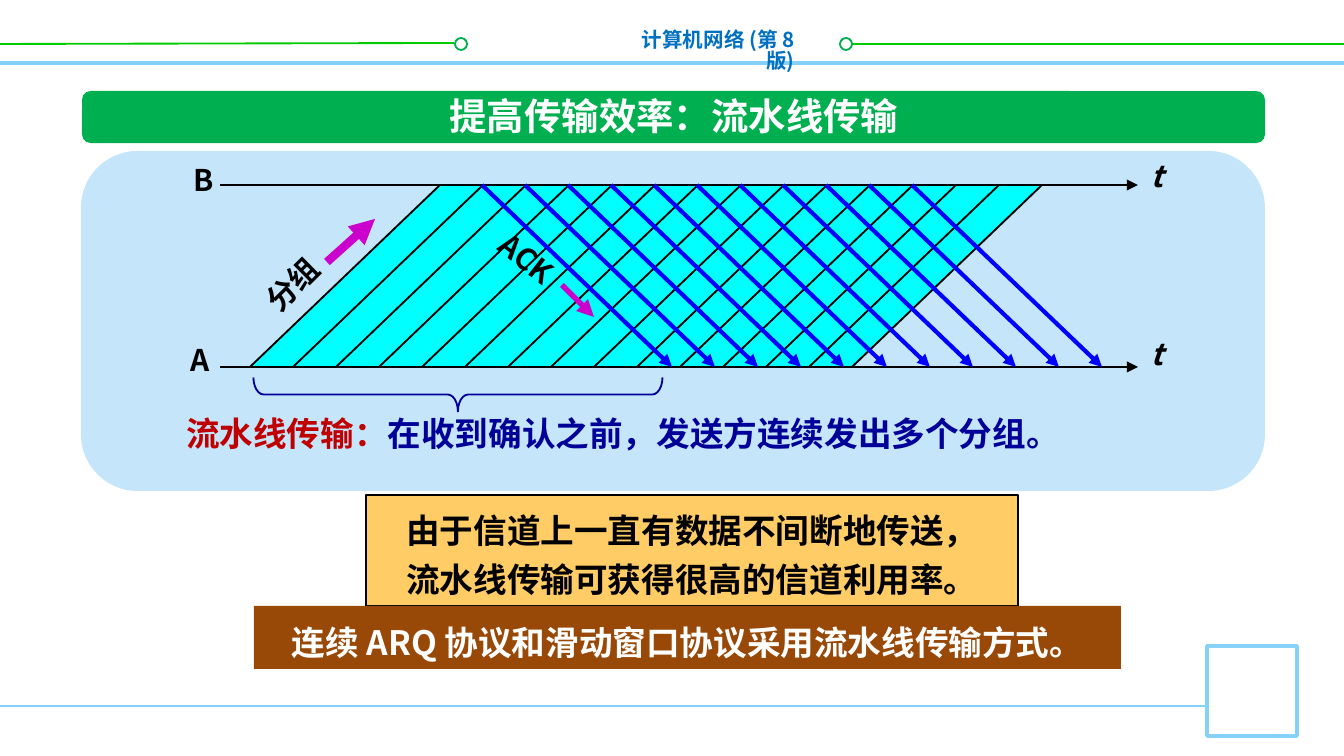
from pptx import Presentation
from pptx.dml.color import RGBColor as RGB
from pptx.enum.shapes import MSO_CONNECTOR as Con, MSO_SHAPE as Geo
from pptx.enum.text import MSO_ANCHOR as Anchor, MSO_AUTO_SIZE as Auto, PP_ALIGN as Align
from pptx.oxml.ns import qn
from pptx.util import Emu, Pt
from lxml.etree import SubElement as Sub

FONT = "Noto Sans CJK SC"
WHITE, BLACK = RGB(255, 255, 255), RGB(0, 0, 0)
SKY, LIME, GREEN = RGB(0x85, 0xD1, 0xF7), RGB(0, 0xCC, 0), RGB(0, 0xB0, 0x50)
PALE, GOLD, BROWN = RGB(0xC5, 0xE5, 0xFB), RGB(0xFF, 0xCC, 0x66), RGB(0x98, 0x48, 0x07)
CYAN, BLUE, NAVY = RGB(0, 255, 255), RGB(0, 0, 255), RGB(0, 0, 0x99)
PINK, RED, AZURE = RGB(0xCC, 0, 0xCC), RGB(0xC0, 0, 0), RGB(0, 0x70, 0xC0)

TITLE = "提高传输效率：流水线传输"
HEADER = "计算机网络 (第 8 版)"
NOTE = [[("流水线传输：", RED), ("在收到确认之前，发送方连续发出多个分组。", NAVY)]]
GAIN = [[("由于信道上一直有数据不间断地传送，", BLACK)],
        [("流水线传输可获得很高的信道利用率。", BLACK)]]
USE = [[("连续 ARQ 协议和滑动窗口协议采用流水线传输方式。", WHITE)]]
LABELS = [
    ("B", (180, 155, 48, 50), 0, False),
    ("A", (177, 335, 50, 50), 0, False),
    ("t", (1137, 151, 39, 50), 0, True),
    ("t", (1137, 329, 39, 50), 0, True),
    ("分组", (249, 259, 87, 50), 315.3, False),
    ("ACK", (484, 235, 90, 50), 37.8, False),
]
RULES = [
    ((0, 706, 1207, 706), SKY, 1.5),
    ((0, 63, 1344, 63), SKY, 2),
    ((0, 44, 454, 43), LIME, 1),
    ((840, 44, 1344, 44), LIME, 1),
]
TOP, BASE, SLANT, STEP = 185, 367, 190, 43
SEND, SENDS, ACK, ACKS = 250, 15, 482, 11


def px(n):
    return Emu(round(n * 914400 / 134.4))


deck = Presentation()
deck.slide_width, deck.slide_height = px(1344), px(756)
slide = deck.slides.add_slide(deck.slide_layouts[5])
shapes = slide.shapes


def rule(ends, color, width, arrow=False):
    item = shapes.add_connector(Con.STRAIGHT, *map(px, ends))
    item.line.color.rgb = color
    item.line.width = Pt(width)
    if arrow:
        Sub(item.line._get_or_add_ln(), qn("a:tailEnd"), type="triangle")
    Sub(item._element.spPr, qn("a:effectLst"))


def paint(item, fill=None, line=None, width=1):
    item.shadow.inherit = False
    if fill is None:
        item.fill.background()
    else:
        item.fill.solid()
        item.fill.fore_color.rgb = fill
    if line is None:
        item.line.fill.background()
    else:
        item.line.color.rgb = line
        item.line.width = Pt(width)


def block(geo, box, fill=None, line=None, width=1):
    item = shapes.add_shape(geo, *map(px, box))
    paint(item, fill, line, width)
    return item


def write(item, paras, size, align=Align.LEFT, wrap=True, lead=None, slant=False):
    frame = item.text_frame
    frame.auto_size = Auto.NONE
    frame.word_wrap = wrap
    frame.vertical_anchor = Anchor.MIDDLE
    frame.margin_top = frame.margin_bottom = 0
    for i, runs in enumerate(paras):
        para = frame.add_paragraph() if i else frame.paragraphs[0]
        para.alignment = align
        if lead:
            para.line_spacing = lead
        for text, color in runs:
            run = para.add_run()
            run.text = text
            font = run.font
            font.name, font.size, font.bold = FONT, Pt(size), True
            if slant:
                font.italic = True
            font.color.rgb = color
            Sub(run._r.get_or_add_rPr(), qn("a:ea"), typeface=FONT)
    return frame


def label(box):
    return shapes.add_textbox(*map(px, box))


for ends, color, width in RULES:
    rule(ends, color, width)
block(Geo.RECTANGLE, (1207, 646, 90, 90), WHITE, SKY, 2)
for x in (455, 840):
    block(Geo.OVAL, (x, 38, 12, 12), WHITE, GREEN)
head = label((589, 24, 219, 64))
frame = write(head, [[(HEADER, AZURE)]], 11, Align.RIGHT, lead=0.85)
frame.margin_left = px(33)
frame.vertical_anchor = Anchor.TOP
frame.margin_top = px(7)

block(Geo.ROUNDED_RECTANGLE, (81, 151, 1184, 340), PALE)
gain = block(Geo.RECTANGLE, (366, 495, 652, 111), GOLD, BLACK, 0.75)
write(gain, GAIN, 18, Align.CENTER, lead=Pt(26))

last = SEND + STEP * (SENDS - 1)
band = shapes.build_freeform(px(SEND), px(BASE), scale=1.0)
band.add_line_segments([(px(x), px(y)) for x, y in (
    (SEND + SLANT, TOP), (last + SLANT, TOP), (last, BASE))])
paint(band.convert_to_shape(), CYAN)
for y in (BASE, TOP):
    rule((220, y, 1138, y), BLACK, 1.5, True)
for i in range(SENDS):
    x = SEND + STEP * i
    rule((x, BASE, x + SLANT, TOP), BLACK, 1)
for i in range(ACKS):
    x = ACK + STEP * i
    rule((x, TOP, x + SLANT, BASE), BLUE, 2.25, True)
rule((327, 262, 375, 219), PINK, 4.5, True)
rule((562, 285, 594, 317), PINK, 3, True)
for text, box, turn, slant in LABELS:
    item = label(box)
    item.rotation = turn
    write(item, [[(text, BLACK)]], 16, wrap=False, slant=slant)

brace = block(Geo.LEFT_BRACE, (441, 190, 34, 409), None, NAVY)
brace.adjustments[0] = 0.3
brace.rotation = 270
write(label((173, 406, 910, 54)), NOTE, 18)

block(Geo.ROUNDED_RECTANGLE, (82, 91, 1183, 52), GREEN)
title = shapes.title
title.left, title.top, title.width, title.height = map(px, (434, 86, 480, 59))
frame = write(title, [[(TITLE, WHITE)]], 20, Align.CENTER)
frame.margin_left = frame.margin_right = 0
shapes._spTree.append(title._element)

use = block(Geo.RECTANGLE, (254, 606, 867, 63), BROWN)
write(use, USE, 18, Align.CENTER, lead=Pt(26))

deck.save("out.pptx")
